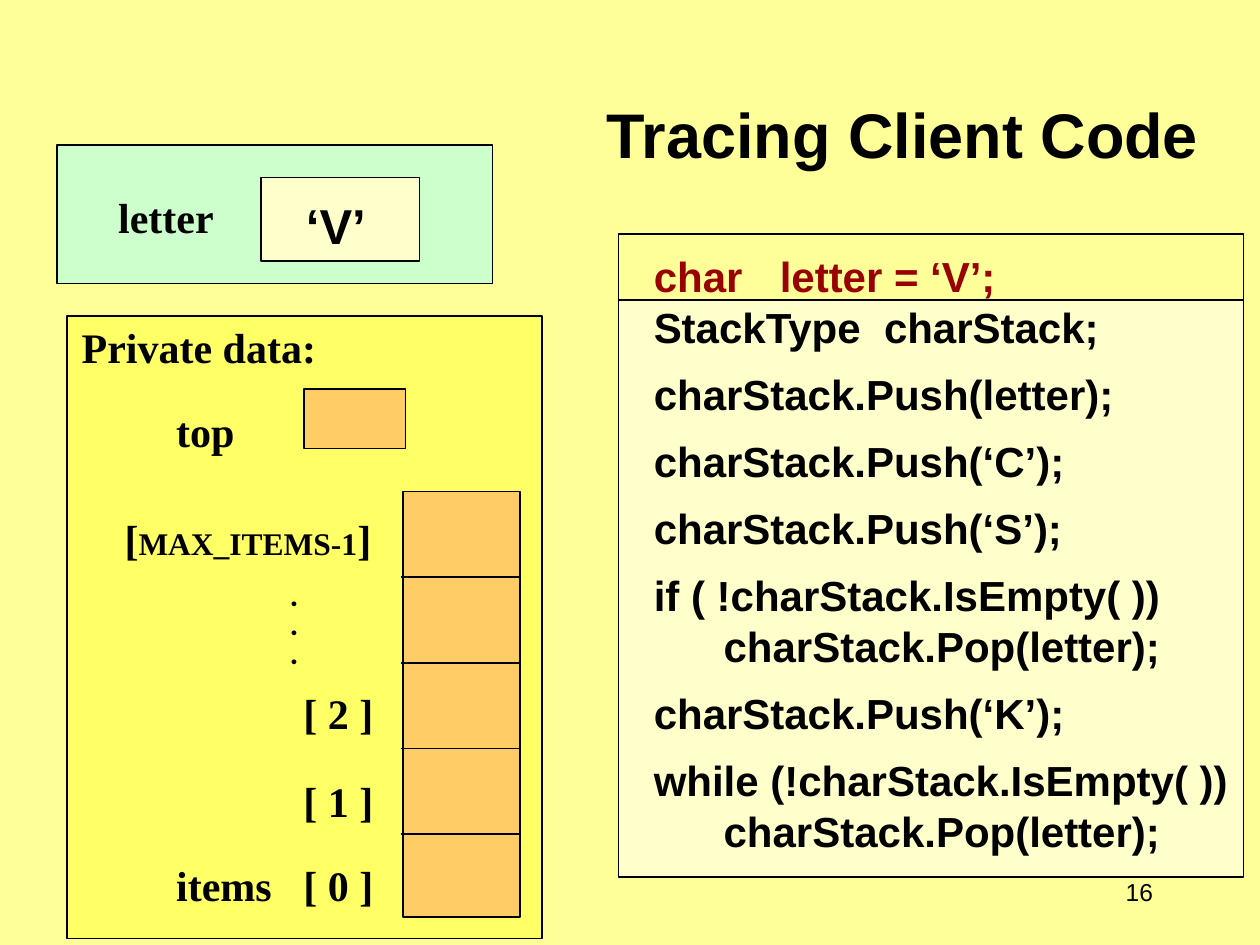
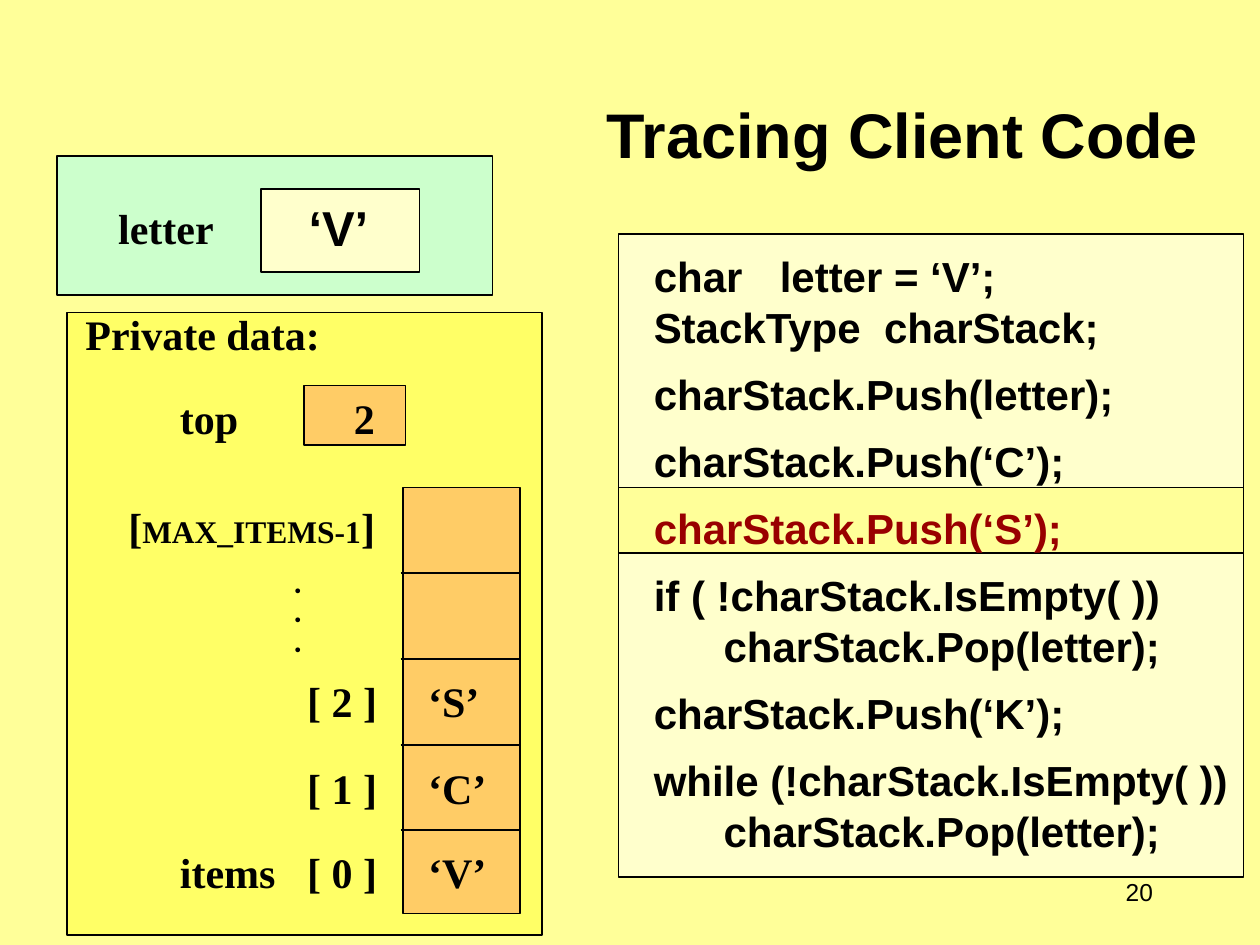
from dataclasses import dataclass

import pptx
import pptx.dml.color
import pptx.enum.shapes
import pptx.enum.text
import pptx.oxml.ns
import pptx.util
from lxml import etree
from pptx.util import Inches, Pt

ALIGN = pptx.enum.text.PP_ALIGN
ANCHOR = pptx.enum.text.MSO_ANCHOR


@dataclass(frozen=True)
class Theme:
    page: str = "FFFF99"
    ink: str = "000000"
    active: str = "990000"
    cream: str = "FFFFCC"
    mint: str = "CCFFCC"
    yellow: str = "FFFF66"
    orange: str = "FFCC66"
    sans: str = "Arial"
    serif: str = "Times New Roman"
    dots: str = "Montserrat"
    title_size: int = 36
    value_size: int = 28
    body_size: int = 24
    constant_size: int = 18
    small_size: int = 14


THEME = Theme()

TITLE = "Tracing Client Code"

# Each group of code lines is one statement or block.
CODE_GROUPS = [
    ["char\tletter = ‘V’;", "StackType  charStack;"],
    ["charStack.Push(letter);"],
    ["charStack.Push(‘C’);"],
    ["charStack.Push(‘S’);"],
    ["if ( !charStack.IsEmpty( ))", "      charStack.Pop(letter);"],
    ["charStack.Push(‘K’);"],
    ["while (!charStack.IsEmpty( ))", "      charStack.Pop(letter);"],
]
GROUP_GAP = 9.6

# Tops and the letter position are in inches; items run from index 0 up.
STEPS = [
    dict(number="16", active_line=0, band_top=1.86, letter_top=1.15, letter_at=(2.33, 1.5),
         private_top=2.51, label_at=(0.55, 2.5), top="", items=["", "", ""]),
    dict(number="20", active_line=4, band_top=3.87, letter_top=1.24, letter_at=(2.35, 1.52),
         private_top=2.48, label_at=(0.58, 2.4), top="2", items=["‘V’", "‘C’", "‘S’"]),
]

CODE_LEFT, CODE_TOP, CODE_WIDTH = 4.91, 1.86, 4.96
CELL_COUNT, CELL_HEIGHT = 5, 0.68
NAME_TAB, INDEX_TAB, ITEM_TAB, TOP_VALUE_TAB = 0.75, 1.76, 2.72, 2.13


def rgb(color):
    return pptx.dml.color.RGBColor.from_string(color)


def add_box(shapes, left, top, width, height, color):
    box = shapes.add_shape(pptx.enum.shapes.MSO_SHAPE.RECTANGLE,
                           Inches(left), Inches(top), Inches(width), Inches(height))
    box.shadow.inherit = False
    box.fill.solid()
    box.fill.fore_color.rgb = rgb(color)
    box.line.color.rgb = rgb(THEME.ink)
    box.line.width = Pt(1)


def add_divider(shapes, left, right, y):
    divider = shapes.add_connector(pptx.enum.shapes.MSO_CONNECTOR.STRAIGHT,
                                   Inches(left), Inches(y), Inches(right), Inches(y))
    divider.line.color.rgb = rgb(THEME.ink)
    divider.line.width = Pt(1)
    etree.SubElement(divider.element.spPr, pptx.oxml.ns.qn("a:effectLst"))


def add_run(paragraph, text, size, font=THEME.serif, color=THEME.ink, bold=True):
    run = paragraph.add_run()
    run.text = text
    run.font.size = Pt(size)
    run.font.name = font
    run.font.bold = bold
    run.font.color.rgb = rgb(color)


def add_text_frame(slide, left, top, width, height, wrap=False):
    frame = slide.shapes.add_textbox(Inches(left), Inches(top),
                                     Inches(width), Inches(height)).text_frame
    frame.word_wrap = wrap
    return frame


def next_paragraph(frame, index, gap):
    paragraph = frame.add_paragraph() if index else frame.paragraphs[0]
    if index:
        paragraph.space_before = Pt(gap)
    return paragraph


def set_tabs(paragraph, stops):
    if not stops:
        return
    properties = paragraph._p.get_or_add_pPr()
    tabs = etree.SubElement(properties, pptx.oxml.ns.qn("a:tabLst"))
    for stop in stops:
        etree.SubElement(tabs, pptx.oxml.ns.qn("a:tab"), pos=str(Inches(stop)), algn="l")


def tabbed(*fields):
    """Put each non-empty field at its own tab stop."""
    return "".join("\t" + field for field in fields if field)


def private_rows(step):
    """Rows of (space before, tab stops, runs of text, size and font)."""
    body, serif = THEME.body_size, THEME.serif
    first, second, third = step["items"]
    dot = [("\t.", THEME.small_size, THEME.dots)]
    index_tabs = (INDEX_TAB, ITEM_TAB)
    return [
        (0, (), [("Private data:", body, serif)]),
        (19.4, (NAME_TAB, TOP_VALUE_TAB), [(tabbed("top", step["top"]), body, serif)]),
        (33, (0.34,), [("\t[", body, serif),
                       ("MAX_ITEMS-1", THEME.constant_size, serif),
                       ("]", body, serif)]),
        (10, (1.66,), dot),
        (0, (1.66,), dot),
        (0, (1.66,), dot),
        (10.2, index_tabs, [(tabbed("[ 2 ]", third), body, serif)]),
        (21.4, index_tabs, [(tabbed("[ 1 ]", second), body, serif)]),
        (19.2, (NAME_TAB, *index_tabs), [(tabbed("items", "[ 0 ]", first), body, serif)]),
    ]


def add_title(slide):
    title = slide.shapes.title
    title.left, title.top, title.width, title.height = map(Inches, (4.33, 0.16, 5.67, 1.25))
    frame = title.text_frame
    frame.vertical_anchor = ANCHOR.BOTTOM
    paragraph = frame.paragraphs[0]
    paragraph.alignment = ALIGN.CENTER
    add_run(paragraph, TITLE, THEME.title_size, THEME.sans)


def add_slide_number(slide, number):
    frame = add_text_frame(slide, 8.58, 6.83, 0.67, 0.5)
    frame.vertical_anchor = ANCHOR.MIDDLE
    frame.paragraphs[0].alignment = ALIGN.RIGHT
    add_run(frame.paragraphs[0], number, THEME.small_size, THEME.sans, bold=False)


def add_code(slide, step):
    add_box(slide.shapes, CODE_LEFT, CODE_TOP, CODE_WIDTH, 5.1, THEME.cream)
    add_box(slide.shapes, CODE_LEFT, step["band_top"], CODE_WIDTH, 0.52, THEME.page)
    frame = add_text_frame(slide, 5.09, 1.94, 4.91, 4.9, wrap=True)
    lines = [(0 if position else GROUP_GAP, line)
             for group in CODE_GROUPS for position, line in enumerate(group)]
    for index, (gap, line) in enumerate(lines):
        color = THEME.active if index == step["active_line"] else THEME.ink
        add_run(next_paragraph(frame, index, gap), line, THEME.body_size, THEME.sans, color)


def add_private_data(slide, step):
    top = step["private_top"]
    add_box(slide.shapes, 0.53, top, 3.77, 4.94, THEME.yellow)
    add_box(slide.shapes, 2.41, top + 0.58, 0.81, 0.47, THEME.orange)

    items = slide.shapes.add_group_shape().shapes
    items_top = top + 1.39
    add_box(items, 3.2, items_top, 0.93, 3.38, THEME.orange)
    for row in range(1, CELL_COUNT):
        add_divider(items, 3.18, 4.13, items_top + row * CELL_HEIGHT)

    frame = add_text_frame(slide, *step["label_at"], 3.57, 4.76, wrap=True)
    for index, (gap, stops, runs) in enumerate(private_rows(step)):
        paragraph = next_paragraph(frame, index, gap)
        set_tabs(paragraph, stops)
        for text, size, font in runs:
            add_run(paragraph, text, size, font)


def add_letter(slide, step):
    top = step["letter_top"]
    add_box(slide.shapes, 0.45, top, 3.46, 1.1, THEME.mint)
    name = add_text_frame(slide, 0.84, top + 0.32, 0.96, 0.5)
    add_run(name.paragraphs[0], "letter", THEME.body_size)
    add_box(slide.shapes, 2.07, top + 0.26, 1.26, 0.66, THEME.cream)
    value = add_text_frame(slide, *step["letter_at"], 0.68, 0.57)
    add_run(value.paragraphs[0], "‘V’", THEME.value_size, THEME.sans)


def main():
    deck = pptx.Presentation()
    deck.slide_width, deck.slide_height = Inches(10), Inches(7.5)
    background = deck.slide_master.background.fill
    background.solid()
    background.fore_color.rgb = rgb(THEME.page)
    title_only = deck.slide_layouts.get_by_name("Title Only")
    for step in STEPS:
        slide = deck.slides.add_slide(title_only)
        add_slide_number(slide, step["number"])
        add_code(slide, step)
        add_title(slide)
        add_private_data(slide, step)
        add_letter(slide, step)
    deck.save("out.pptx")


if __name__ == "__main__":
    main()
